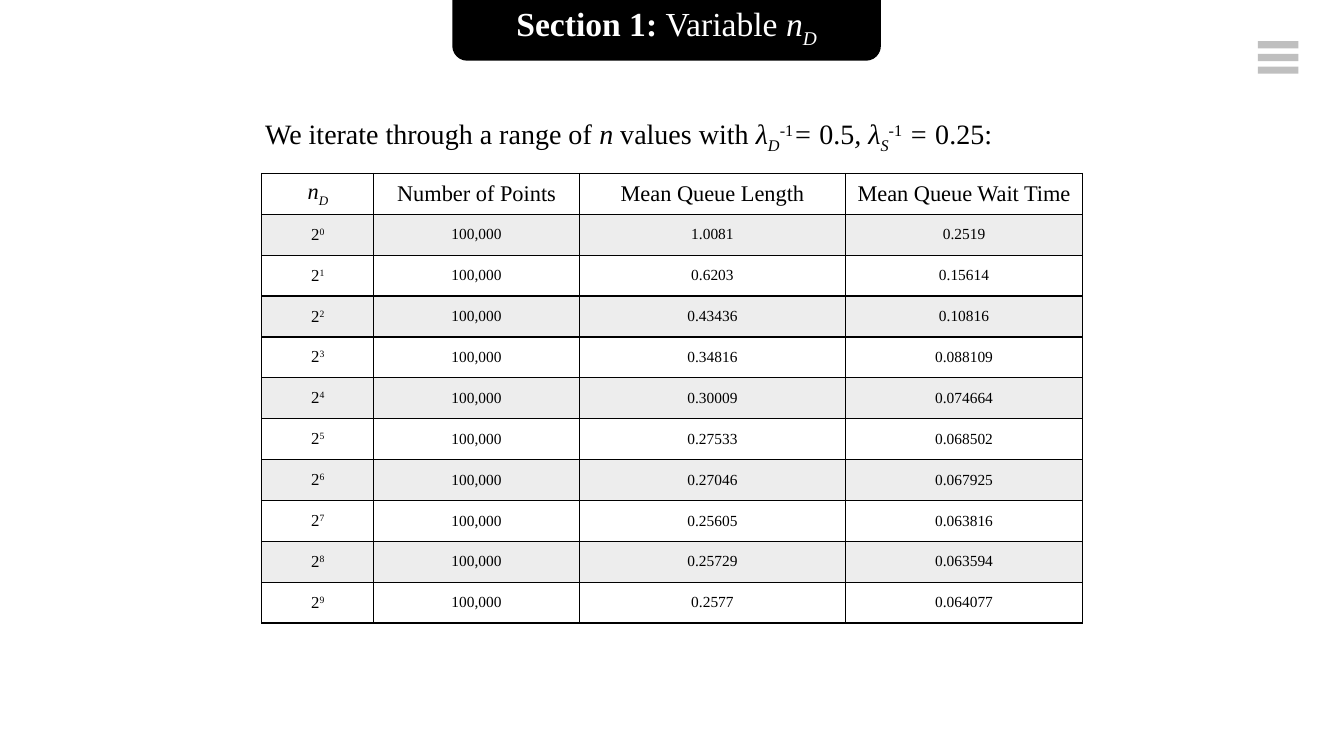
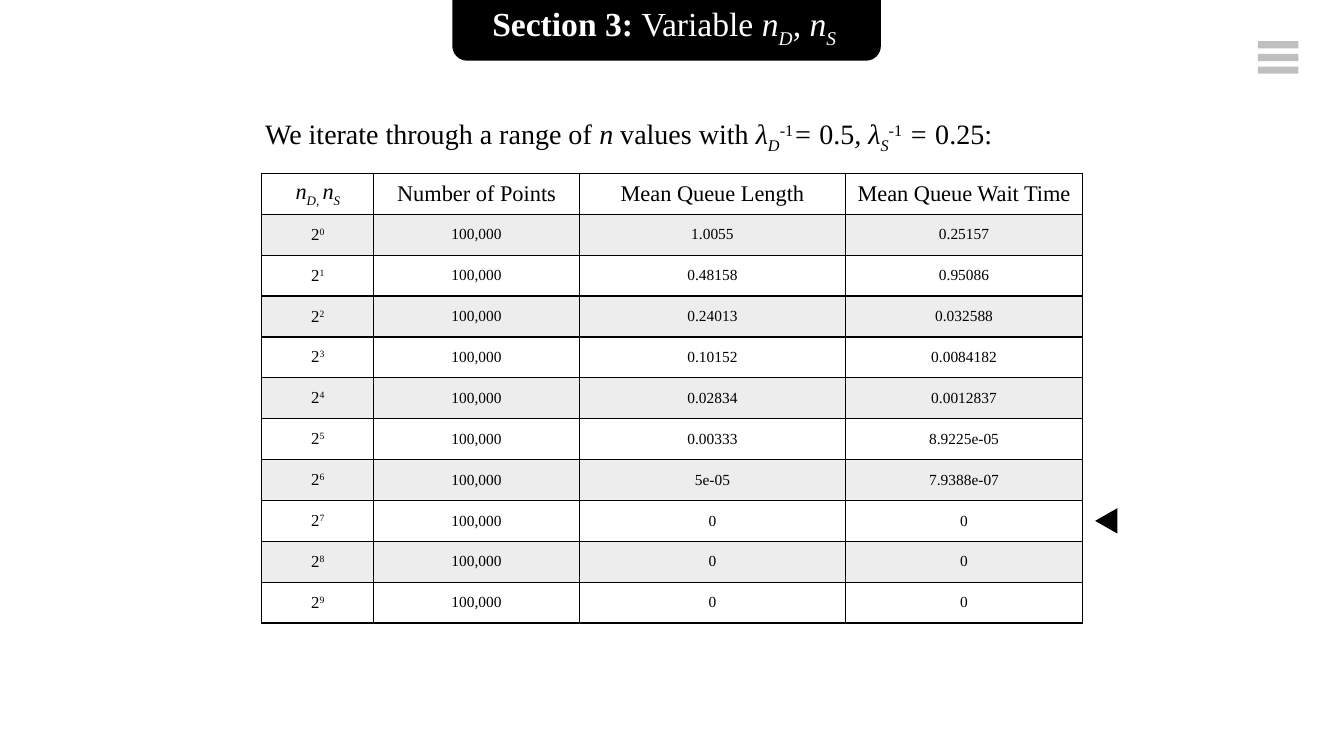
from lxml.etree import SubElement
from pptx import Presentation
from pptx.dml.color import RGBColor
from pptx.enum.shapes import MSO_SHAPE
from pptx.enum.text import MSO_ANCHOR, MSO_AUTO_SIZE, PP_ALIGN
from pptx.oxml.ns import qn
from pptx.util import Cm, Pt

FONT = "Times New Roman"
COLOURS = {"ink": "000000", "paper": "FFFFFF", "menu": "BFBFBF", "band": "A5A5A5"}
BAND_OPACITY = 20000

# Measures in centimetres
TAB_LEFT, TAB_TOP, TAB_WIDTH, TAB_HEIGHT = 11.48, -0.3, 10.64, 1.75
TABLE_LEFT, TABLE_TOP, ROW_HEIGHT = 6.6, 4.37, 1.03
COLUMN_WIDTHS = (2.82, 5.18, 6.71, 5.97)

# A span is (text, style): b bold, i italic, _ subscript, ^ superscript
BASELINES = {"_": "-25000", "^": "30000"}
INTRO = [
    ("We iterate through a range of ", ""), ("n", "i"), (" values with ", ""),
    ("λ", "i"), ("D", "i_"), ("-1", "^"), ("= ", "i"), ("0.5", ""),
    (", λ", "i"), ("S", "i_"), ("-1", "^"), (" = ", "i"), ("0.25:", ""),
]
HEADINGS = ("Number of Points", "Mean Queue Length", "Mean Queue Wait Time")
POINTS = "100,000"

SECTIONS = [
    {
        "title": [("Section 1: ", "b"), ("Variable ", ""), ("n", "i"), ("D", "i_")],
        "variable": [("n", "i"), ("D", "i_")],
        "lengths": ("1.0081", "0.6203", "0.43436", "0.34816", "0.30009",
                    "0.27533", "0.27046", "0.25605", "0.25729", "0.2577"),
        "waits": ("0.2519", "0.15614", "0.10816", "0.088109", "0.074664",
                  "0.068502", "0.067925", "0.063816", "0.063594", "0.064077"),
        "marked_row": None,
    },
    {
        "title": [("Section 3: ", "b"), ("Variable ", ""), ("n", "i"), ("D", "i_"),
                  (", n", "i"), ("S ", "i_")],
        "variable": [("n", "i"), ("D, ", "i_"), ("n", "i"), ("S", "i_")],
        "lengths": ("1.0055", "0.48158", "0.24013", "0.10152", "0.02834",
                    "0.00333", "5e-05", "0", "0", "0"),
        "waits": ("0.25157", "0.95086", "0.032588", "0.0084182", "0.0012837",
                  "8.9225e-05", "7.9388e-07", "0", "0", "0"),
        "marked_row": 8,
    },
]


def colour(name):
    return RGBColor.from_string(COLOURS[name])


def write_spans(frame, spans, size, ink="ink", align=PP_ALIGN.LEFT):
    para = frame.paragraphs[0]
    para.alignment = align
    for text, style in spans:
        span = para.add_run()
        span.text = text
        span.font.name = FONT
        span.font.size = Pt(size)
        span.font.color.rgb = colour(ink)
        span.font.bold = "b" in style
        span.font.italic = "i" in style
        for mark, offset in BASELINES.items():
            if mark in style:
                span._r.get_or_add_rPr().set("baseline", offset)


def add_solid(shapes, kind, left, top, width, height, fill):
    shape = shapes.add_shape(kind, Cm(left), Cm(top), Cm(width), Cm(height))
    shape.shadow.inherit = False
    shape.fill.solid()
    shape.fill.fore_color.rgb = colour(fill)
    shape.line.fill.background()
    return shape


def add_title_tab(page, spans):
    title = page.shapes.title
    tab = add_solid(page.shapes, MSO_SHAPE.ROUNDED_RECTANGLE,
                    TAB_LEFT, TAB_TOP, TAB_WIDTH, TAB_HEIGHT, "ink")
    tab.line.color.rgb = colour("ink")
    tab.line.width = Pt(4.5)
    # The tab lies behind the title
    title._element.addprevious(tab._element)
    title.left, title.top = Cm(TAB_LEFT), Cm(0)
    title.width, title.height = Cm(TAB_WIDTH), Cm(1.24)
    frame = title.text_frame
    frame.auto_size = MSO_AUTO_SIZE.NONE
    frame.vertical_anchor = MSO_ANCHOR.BOTTOM
    frame.margin_top = frame.margin_bottom = 0
    write_spans(frame, spans, 24, "paper", PP_ALIGN.CENTER)


def add_menu_icon(page):
    icon = page.shapes.add_group_shape()
    for bar in range(3):
        add_solid(icon.shapes, MSO_SHAPE.RECTANGLE,
                  31.7, 1.04 + bar * 0.32, 1.02, 0.18, "menu")


def add_intro(page):
    box = page.shapes.add_textbox(Cm(6.43), Cm(2.82), Cm(20.88), Cm(1.12))
    box.text_frame.word_wrap = True
    box.text_frame.auto_size = MSO_AUTO_SIZE.SHAPE_TO_FIT_TEXT
    write_spans(box.text_frame, INTRO, 20)


def format_cell(cell, banded):
    properties = cell._tc.get_or_add_tcPr()
    for side in ("a:lnL", "a:lnR", "a:lnT", "a:lnB"):
        border = SubElement(properties, qn(side), w=str(Pt(1)))
        fill = SubElement(border, qn("a:solidFill"))
        SubElement(fill, qn("a:srgbClr"), val=COLOURS["ink"])
    cell.vertical_anchor = MSO_ANCHOR.MIDDLE
    if banded:
        cell.fill.solid()
        cell.fill.fore_color.rgb = colour("band")
        tint = properties.find(qn("a:solidFill")).find(qn("a:srgbClr"))
        SubElement(tint, qn("a:alpha"), val=str(BAND_OPACITY))
    else:
        cell.fill.background()


def add_results(page, section):
    # Each cell is (spans, size)
    rows = [[(section["variable"], 16)] + [([(text, "")], 16) for text in HEADINGS]]
    for power, values in enumerate(zip(section["lengths"], section["waits"])):
        rows.append([([("2", ""), (str(power), "^")], 12)]
                    + [([(text, "")], 11) for text in (POINTS, *values)])

    table = page.shapes.add_table(
        len(rows), len(COLUMN_WIDTHS), Cm(TABLE_LEFT), Cm(TABLE_TOP),
        Cm(sum(COLUMN_WIDTHS)), Cm(ROW_HEIGHT * len(rows))).table
    table.first_row = table.horz_banding = False
    for column, width in zip(table.columns, COLUMN_WIDTHS):
        column.width = Cm(width)
    for r, row in enumerate(rows):
        table.rows[r].height = Cm(ROW_HEIGHT)
        for c, (spans, size) in enumerate(row):
            cell = table.cell(r, c)
            format_cell(cell, banded=r % 2 == 1)
            write_spans(cell.text_frame, spans, size, align=PP_ALIGN.CENTER)


def add_row_marker(page, row):
    width, height = 0.64, 0.56
    middle = TABLE_TOP + (row + 0.5) * ROW_HEIGHT
    marker = add_solid(page.shapes, MSO_SHAPE.ISOSCELES_TRIANGLE,
                       27.56, middle - height / 2, width, height, "ink")
    marker.rotation = 270


def main():
    deck = Presentation()
    deck.slide_width, deck.slide_height = Cm(33.87), Cm(19.05)
    title_only = deck.slide_layouts[5]
    for section in SECTIONS:
        page = deck.slides.add_slide(title_only)
        add_intro(page)
        add_results(page, section)
        add_title_tab(page, section["title"])
        if section["marked_row"] is not None:
            add_row_marker(page, section["marked_row"])
        add_menu_icon(page)
    deck.save("out.pptx")


if __name__ == "__main__":
    main()
